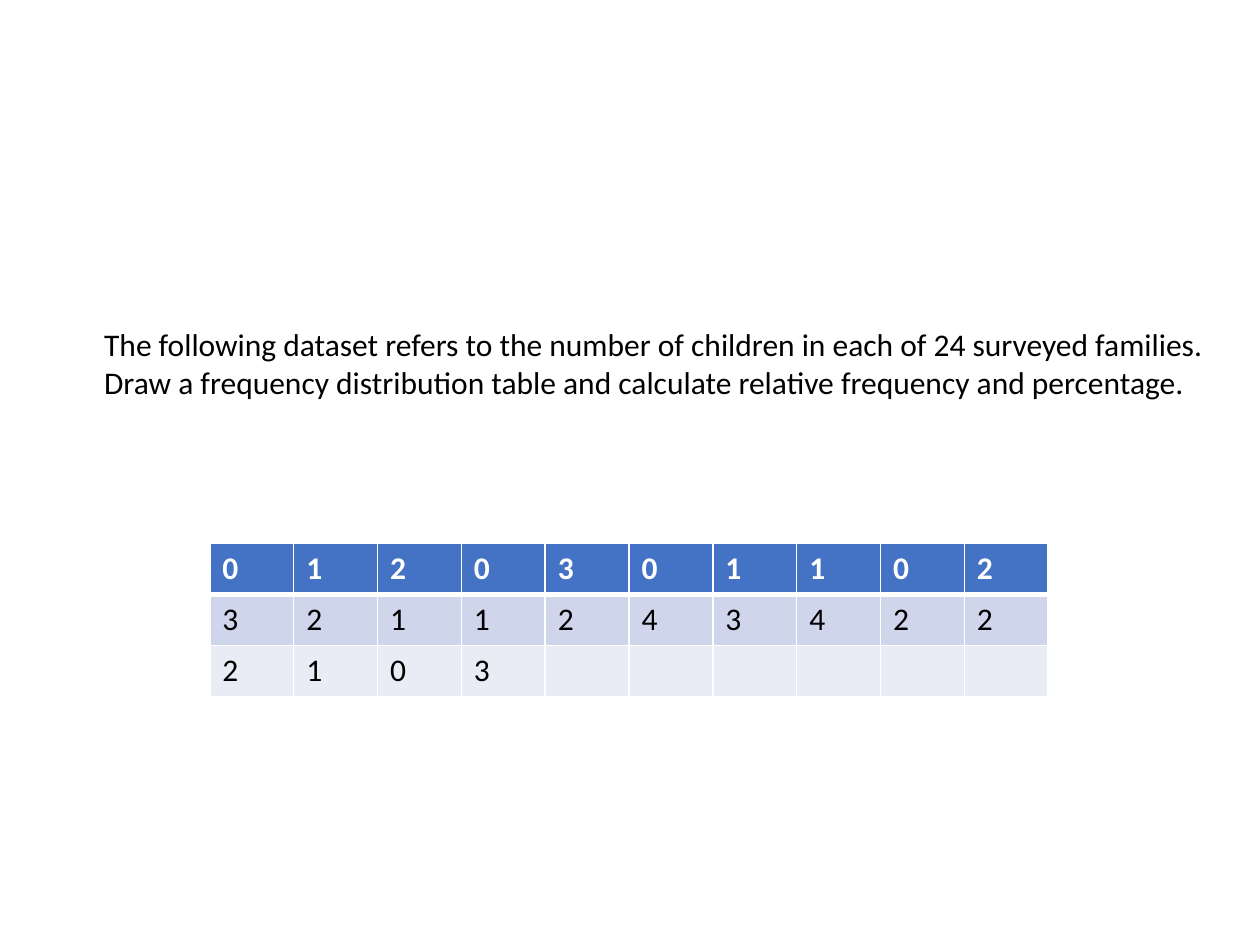
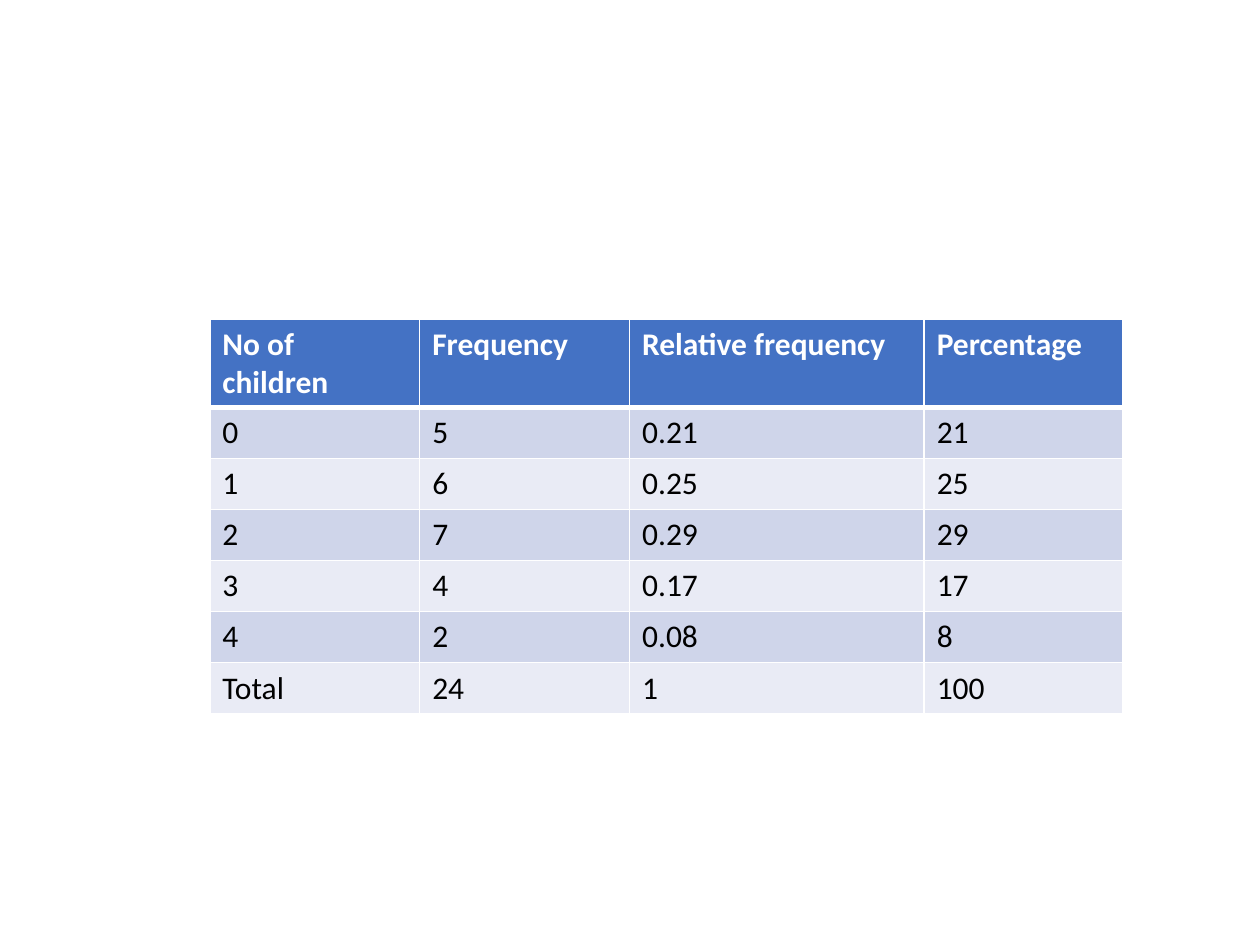
from collections import Counter
from dataclasses import dataclass

from lxml.etree import SubElement
from pptx import Presentation
from pptx.dml.color import RGBColor
from pptx.oxml.ns import qn
from pptx.slide import Slide
from pptx.table import _Cell as Cell
from pptx.text.text import _Paragraph as Paragraph
from pptx.util import Cm, Length, Pt


@dataclass(frozen=True)
class Theme:
    font: str = "Calibri"
    size: Length = Pt(18)
    text: str = "000000"
    header_text: str = "FFFFFF"
    header_fill: str = "4472C4"
    bands: tuple[str, str] = ("CFD5EA", "E9EBF5")
    rule: str = "FFFFFF"
    thin_rule: Length = Pt(1)
    header_rule: Length = Pt(3)


@dataclass(frozen=True)
class DataTable:
    top: Length
    column_widths: list[Length]
    rows: list[list[str]]
    left: Length = Cm(4.23)
    row_height: Length = Cm(1.03)


THEME = Theme()
BLANK_LAYOUT = 6

TASK = (
    "The following dataset refers to the number of children in each of 24 surveyed families.",
    "Draw a frequency distribution table and calculate relative frequency and percentage.",
)
CHILDREN = [0, 1, 2, 0, 3, 0, 1, 1, 0, 2,
            3, 2, 1, 1, 2, 4, 3, 4, 2, 2,
            2, 1, 0, 3]
SURVEY_COLUMNS = 10


def style_text(paragraph: Paragraph, color: str, bold: bool = False) -> None:
    font = paragraph.font
    font.name, font.size, font.bold = THEME.font, THEME.size, bold
    font.color.rgb = RGBColor.from_string(color)


def set_borders(cell: Cell, top: Length, bottom: Length) -> None:
    properties = cell._tc.get_or_add_tcPr()
    widths = {"a:lnL": THEME.thin_rule, "a:lnR": THEME.thin_rule,
              "a:lnT": top, "a:lnB": bottom}
    for side, width in widths.items():
        line = SubElement(properties, qn(side), w=str(int(width)))
        fill = SubElement(line, qn("a:solidFill"))
        SubElement(fill, qn("a:srgbClr"), val=THEME.rule)


def style_cell(cell: Cell, row: int) -> None:
    """Format a cell as header (row 0) or as part of a banded body row."""
    is_header = row == 0
    set_borders(
        cell,
        top=THEME.header_rule if row == 1 else THEME.thin_rule,
        bottom=THEME.header_rule if is_header else THEME.thin_rule,
    )
    fill = THEME.header_fill if is_header else THEME.bands[(row - 1) % 2]
    cell.fill.solid()
    cell.fill.fore_color.rgb = RGBColor.from_string(fill)
    color = THEME.header_text if is_header else THEME.text
    style_text(cell.text_frame.paragraphs[0], color, bold=is_header)


def draw_table(slide: Slide, data: DataTable) -> None:
    table = slide.shapes.add_table(
        len(data.rows), len(data.column_widths), data.left, data.top,
        sum(data.column_widths), data.row_height * len(data.rows),
    ).table
    for column, width in zip(table.columns, data.column_widths):
        column.width = width
    for row, values in enumerate(data.rows):
        table.rows[row].height = data.row_height
        for column, value in enumerate(values):
            cell = table.cell(row, column)
            cell.text_frame.text = value
            style_cell(cell, row)


def draw_task(slide: Slide) -> None:
    box = slide.shapes.add_textbox(Cm(1.85), Cm(6.43), Cm(23.09), Cm(4.11))
    frame = box.text_frame
    frame.word_wrap = True
    frame.text = "\n".join(TASK)
    for paragraph in frame.paragraphs:
        style_text(paragraph, THEME.text)


def survey_rows() -> list[list[str]]:
    """Split the answers into table rows, filling the last one with blanks."""
    rows = []
    for start in range(0, len(CHILDREN), SURVEY_COLUMNS):
        answers = [str(n) for n in CHILDREN[start:start + SURVEY_COLUMNS]]
        rows.append(answers + [""] * (SURVEY_COLUMNS - len(answers)))
    return rows


def frequency_rows() -> list[list[str]]:
    total = len(CHILDREN)
    rows = [["No of children", "Frequency", "Relative frequency", "Percentage"]]
    for number, count in sorted(Counter(CHILDREN).items()):
        share = count / total
        rows.append([str(number), str(count), f"{share:.2f}", f"{share:.0%}".rstrip("%")])
    rows.append(["Total", str(total), "1", "100"])
    return rows


def main() -> None:
    deck = Presentation()
    deck.slide_width, deck.slide_height = Cm(25.4), Cm(19.05)
    layout = deck.slide_layouts[BLANK_LAYOUT]

    question = deck.slides.add_slide(layout)
    draw_task(question)
    draw_table(question, DataTable(
        top=Cm(10.95),
        column_widths=[Cm(1.69)] * SURVEY_COLUMNS,
        rows=survey_rows(),
    ))

    answer = deck.slides.add_slide(layout)
    draw_table(answer, DataTable(
        top=Cm(6.43),
        column_widths=[Cm(4.23), Cm(4.23), Cm(5.94), Cm(4.01)],
        rows=frequency_rows(),
    ))

    deck.save("out.pptx")


if __name__ == "__main__":
    main()
